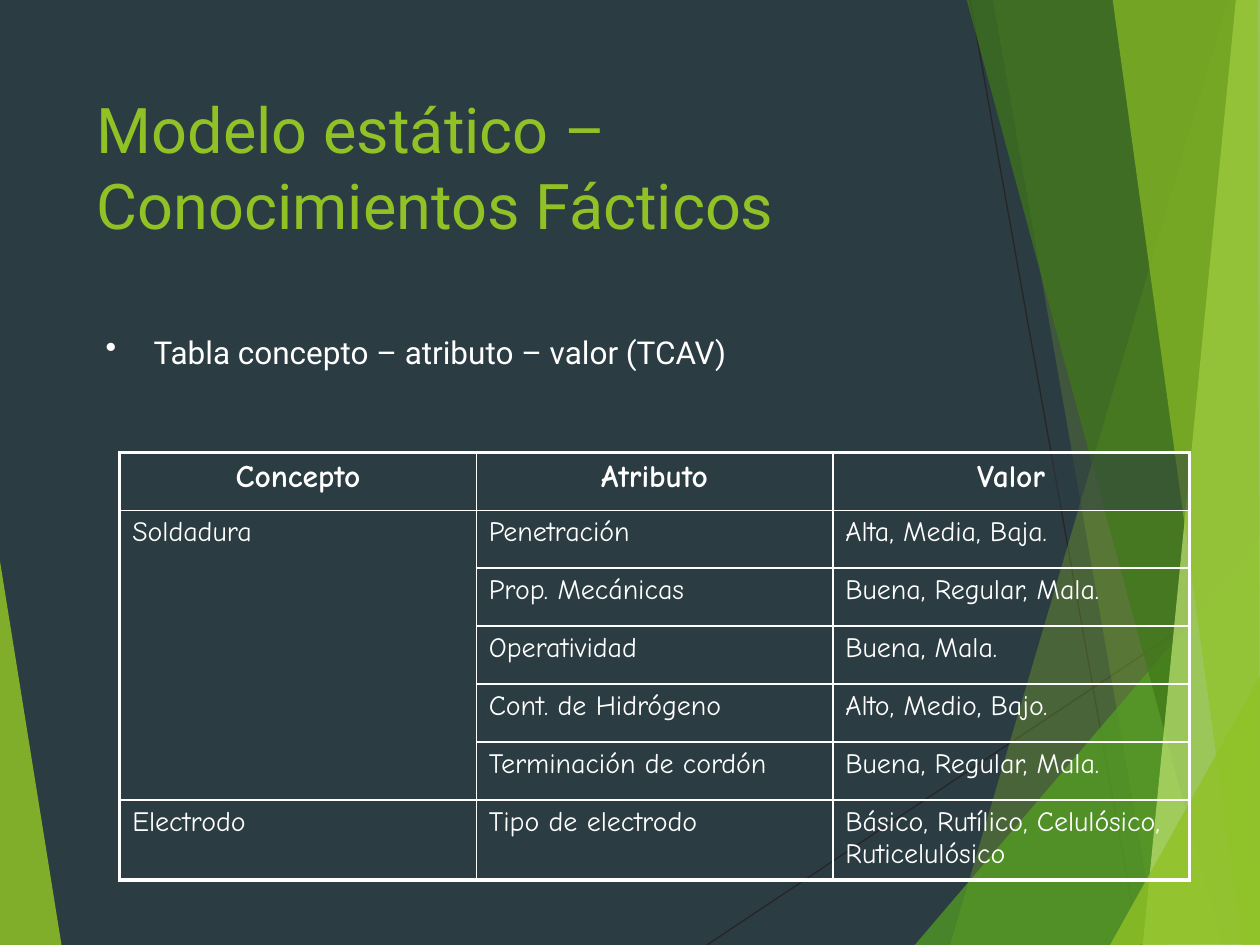
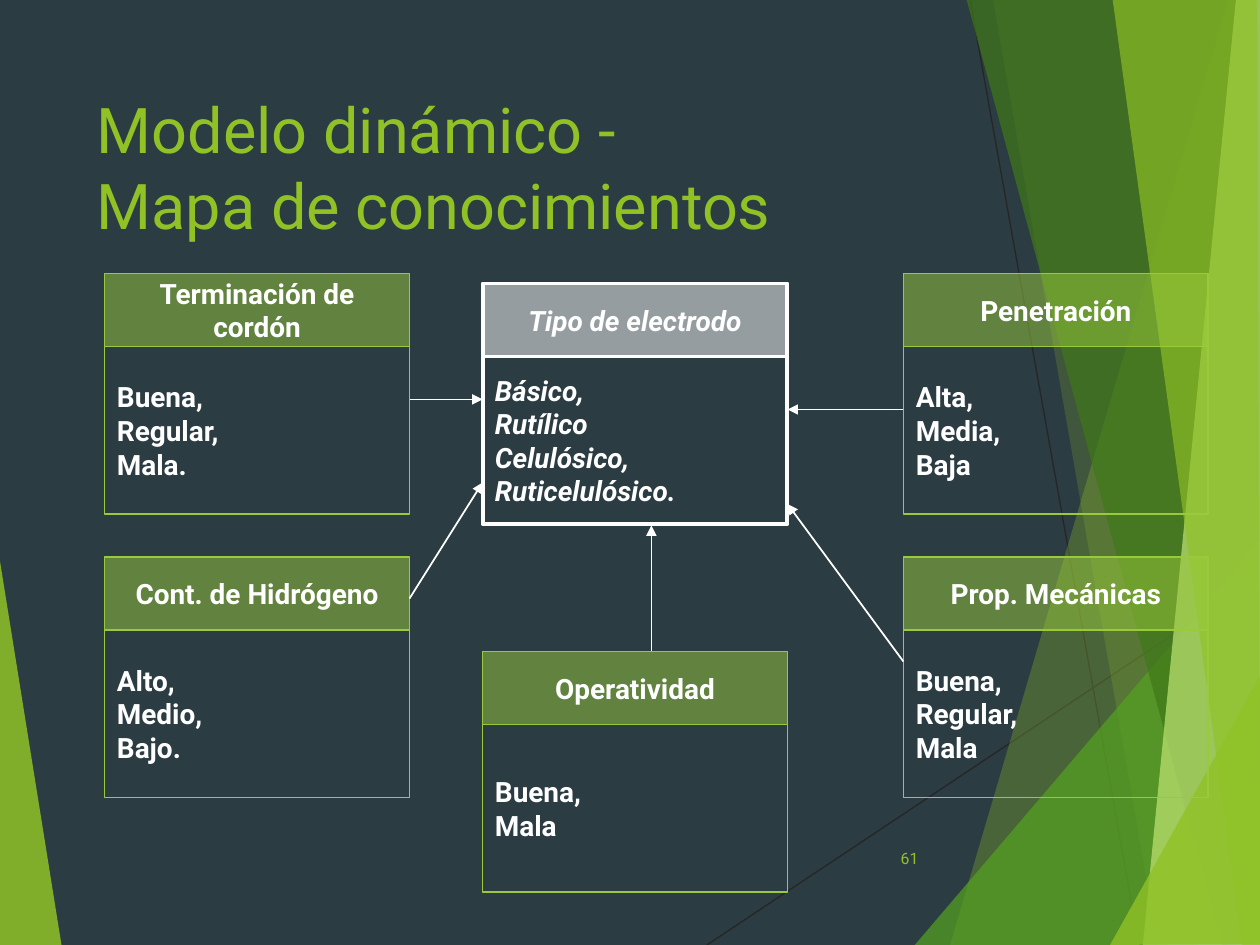
from dataclasses import dataclass

from pptx import Presentation
from pptx.dml.color import RGBColor
from pptx.enum.shapes import MSO_CONNECTOR as Connector, MSO_SHAPE as Preset
from pptx.enum.text import MSO_ANCHOR as Anchor, PP_ALIGN as Align
from pptx.oxml.ns import qn
from pptx.oxml.xmlchemy import OxmlElement
from pptx.util import Inches, Pt


@dataclass(frozen=True)
class Theme:
    background: str = "2C3C43"
    green: str = "90C226"
    deep_green: str = "54A021"
    dark_green: str = "3F7819"
    pale_green: str = "C0E474"
    card_green: str = "99CA3C"
    white: str = "FFFFFF"
    hairline: str = "262626"
    font: str = "Roboto"
    table_font: str = "Comic Neue"
    title_size: float = 36
    bullet_size: float = 18
    header_size: float = 18
    body_size: float = 16
    number_size: float = 9
    thin: float = 1
    thick: float = 2.25
    faint: float = 0.75


THEME = Theme()

# Shared decoration: colour, opacity in percent, outline points
BANDS = [
    (THEME.green, 85, [(-0.01, 4.39), (0.49, 7.51), (-0.01, 7.5)]),
    (THEME.green, 30, [(9.75, 0), (7.54, 7.5), (10.02, 7.51), (10.01, 0.01)]),
    (THEME.green, 20, [(7.88, -0.01), (9.19, 7.5), (10.01, 7.5), (10.01, -0.01)]),
    (THEME.deep_green, 72, [(7.26, 7.5), (10, 4.29), (10.01, 7.5)]),
    (THEME.dark_green, 70, [(7.67, -0.01), (9.7, 7.5), (10.01, 7.49), (10.01, -0.01)]),
    (THEME.pale_green, 70, [(9.81, -0.01), (9.07, 7.5), (10.01, 7.5), (10, -0.01)]),
    (THEME.green, 65, [(8.83, -0.01), (9.86, 7.5), (10, 7.5), (9.98, -0.01)]),
    (THEME.green, 80, [(8.81, 7.5), (10.01, 5.35), (10.01, 7.49)]),
]
HAIRLINES = [((5.61, 7.5), (10.01, 4.57)), ((7.7, 0), (9.04, 7.5))]

# Static model: concept, attribute, value
STATIC_TITLE = "Modelo estático – Conocimientos Fácticos"
STATIC_BULLET = "Tabla concepto – atributo – valor (TCAV)"
TABLE_ROWS = [
    ("Concepto", "Atributo", "Valor"),
    ("Soldadura", "Penetración", "Alta, Media, Baja."),
    ("", "Prop. Mecánicas", "Buena, Regular, Mala."),
    ("", "Operatividad", "Buena, Mala."),
    ("", "Cont. de Hidrógeno", "Alto, Medio, Bajo."),
    ("", "Terminación de cordón", "Buena, Regular, Mala."),
    ("Electrodo", "Tipo de electrodo", "Básico, Rutílico, Celulósico, Ruticelulósico"),
]
WELD_ROWS = (1, 5)
ROW_HEIGHT, LAST_ROW_HEIGHT, COLUMN_WIDTH = 0.46, 0.63, 2.83

# Dynamic model: heading, values, left, top
DYNAMIC_TITLE = "Modelo dinámico -\vMapa de conocimientos"
PAGE_NUMBER = "61"
CARD_WIDTH, HEADING_HEIGHT, VALUES_HEIGHT = 2.42, 0.58, 1.33
LEFT, CENTRE, RIGHT = 0.83, 3.83, 7.17
UPPER, LOWER = 2.17, 4.42
GOAL = ("Tipo de electrodo", "Básico,\nRutílico\nCelulósico,\nRuticelulósico.", CENTRE, 2.25)
FACTORS = [
    ("Penetración", "Alta,\nMedia,\nBaja", RIGHT, UPPER),
    ("Prop. Mecánicas", "Buena,\nRegular,\nMala", RIGHT, LOWER),
    ("Operatividad", "Buena,\nMala", CENTRE, 5.17),
    ("Terminación de\ncordón", "Buena,\nRegular,\nMala.", LEFT, UPPER),
    ("Cont. de Hidrógeno", "Alto,\nMedio,\nBajo.", LEFT, LOWER),
]
ARROWS = [
    ((LEFT + CARD_WIDTH, 3.17), (CENTRE, 3.17)),
    ((LEFT + CARD_WIDTH, 4.75), (CENTRE, 3.83)),
    ((5.17, 5.17), (5.17, 4.17)),
    ((RIGHT, 3.25), (CENTRE + CARD_WIDTH, 3.25)),
    ((RIGHT, 5.25), (CENTRE + CARD_WIDTH, 4)),
]


def rgb(color):
    return RGBColor.from_string(color)


def add_xml(parent, tag, **attributes):
    child = OxmlElement(tag)
    for name, value in attributes.items():
        child.set(name, str(value))
    parent.append(child)
    return child


def fill_solid(fill, properties, color, opacity):
    """Fill a shape or cell and make the fill translucent."""
    fill.solid()
    fill.fore_color.rgb = rgb(color)
    color_node = next(properties.iter(qn("a:srgbClr")))
    add_xml(color_node, "a:alpha", val=opacity * 1000)


def write(frame, text, size, color=THEME.white, font=THEME.font,
          bold=False, italic=False, align=Align.LEFT):
    frame.text = text
    for para in frame.paragraphs:
        para.alignment = align
        for span in para.runs:
            span.font.name, span.font.size = font, Pt(size)
            span.font.bold, span.font.italic = bold, italic
            span.font.color.rgb = rgb(color)


def add_text(page, area, text, size, color, anchor=Anchor.TOP):
    box = page.shapes.add_textbox(*map(Inches, area))
    box.text_frame.word_wrap = True
    box.text_frame.vertical_anchor = anchor
    write(box.text_frame, text, size, color)
    return box


def add_line(page, start, end, color, width, arrow=False):
    line = page.shapes.add_connector(Connector.STRAIGHT, *map(Inches, start + end))
    line.line.color.rgb = rgb(color)
    line.line.width = Pt(width)
    if arrow:
        add_xml(line.line._get_or_add_ln(), "a:tailEnd", type="triangle")
    add_xml(line._element.spPr, "a:effectLst")


def add_page(deck, title):
    """Start a page with the background, bands and title."""
    page = deck.slides.add_slide(deck.slide_layouts[6])
    page.background.fill.solid()
    page.background.fill.fore_color.rgb = rgb(THEME.background)
    for start, end in HAIRLINES:
        add_line(page, start, end, THEME.hairline, THEME.faint)
    for color, opacity, outline in BANDS:
        points = [(Inches(x), Inches(y)) for x, y in outline]
        builder = page.shapes.build_freeform(*points[0])
        builder.add_line_segments(points[1:], close=True)
        band = builder.convert_to_shape()
        band.shadow.inherit = False
        fill_solid(band.fill, band._element.spPr, color, opacity)
        band.line.fill.background()
    add_text(page, (0.67, 0.67, 6.94, 1.44), title, THEME.title_size, THEME.green)
    return page


def set_borders(cell, widths):
    """Put white borders ahead of the cell's fill, in schema order."""
    properties = cell._tc.get_or_add_tcPr()
    for position, (side, width) in enumerate(widths.items()):
        border = OxmlElement(f"a:ln{side}")
        border.set("w", str(Pt(width)))
        add_xml(add_xml(border, "a:solidFill"), "a:srgbClr", val=THEME.white)
        properties.insert(position, border)


def add_facts_table(page):
    row_count, column_count = len(TABLE_ROWS), len(TABLE_ROWS[0])
    last_row, last_column = row_count - 1, column_count - 1
    heights = [ROW_HEIGHT] * last_row + [LAST_ROW_HEIGHT]
    table = page.shapes.add_table(
        row_count, column_count, Inches(0.95), Inches(3.59),
        Inches(COLUMN_WIDTH * column_count), Inches(sum(heights))).table
    table.first_row = table.horz_banding = False
    for column in table.columns:
        column.width = Inches(COLUMN_WIDTH)
    for row, height in zip(table.rows, heights):
        row.height = Inches(height)

    for r, texts in enumerate(TABLE_ROWS):
        header = r == 0
        for c, text in enumerate(texts):
            cell = table.cell(r, c)
            if header:
                fill_solid(cell.fill, cell._tc.get_or_add_tcPr(), THEME.background, 50)
            else:
                cell.fill.background()
            outer = {"L": c == 0, "R": c == last_column, "T": header, "B": r == last_row}
            set_borders(cell, {side: THEME.thick if edge else THEME.thin
                               for side, edge in outer.items()})
            write(cell.text_frame, text,
                  THEME.header_size if header else THEME.body_size,
                  font=THEME.table_font, bold=header,
                  align=Align.CENTER if header else Align.LEFT)
    first, last = WELD_ROWS
    table.cell(first, 0).merge(table.cell(last, 0))


def add_card(page, heading, values, left, top, color=THEME.card_green,
             line_width=THEME.thin, italic=False):
    """Stack a tinted heading on an open list of values."""
    parts = [
        (heading, top, HEADING_HEIGHT, True, Align.CENTER),
        (values, top + HEADING_HEIGHT, VALUES_HEIGHT, False, Align.LEFT),
    ]
    for text, y, height, tinted, align in parts:
        box = page.shapes.add_shape(
            Preset.RECTANGLE, *map(Inches, (left, y, CARD_WIDTH, height)))
        box.shadow.inherit = False
        if tinted:
            fill_solid(box.fill, box._element.spPr, color, 50)
        else:
            box.fill.background()
        box.line.color.rgb = rgb(color)
        box.line.width = Pt(line_width)
        box.text_frame.word_wrap = True
        box.text_frame.vertical_anchor = Anchor.MIDDLE
        write(box.text_frame, text, THEME.body_size, bold=True, italic=italic, align=align)


def build_static_page(deck):
    page = add_page(deck, STATIC_TITLE)
    box = add_text(page, (0.74, 2.59, 8.92, 0.75), STATIC_BULLET,
                   THEME.bullet_size, THEME.white)
    properties = box.text_frame.paragraphs[0]._p.get_or_add_pPr()
    properties.set("marL", str(Inches(0.38)))
    properties.set("indent", str(-Inches(0.38)))
    add_xml(add_xml(properties, "a:buClr"), "a:srgbClr", val=THEME.white)
    add_xml(properties, "a:buChar", char="•")
    add_facts_table(page)


def build_dynamic_page(deck):
    page = add_page(deck, DYNAMIC_TITLE)
    add_text(page, (7.05, 6.61, 0.56, 0.4), PAGE_NUMBER,
             THEME.number_size, THEME.green, Anchor.MIDDLE)
    add_card(page, *GOAL, color=THEME.white, line_width=THEME.thick, italic=True)
    for factor in FACTORS:
        add_card(page, *factor)
    for start, end in ARROWS:
        add_line(page, start, end, THEME.white, THEME.thin, arrow=True)


def main():
    deck = Presentation()
    deck.slide_width, deck.slide_height = Inches(10), Inches(7.5)
    build_static_page(deck)
    build_dynamic_page(deck)
    deck.save("out.pptx")


if __name__ == "__main__":
    main()
